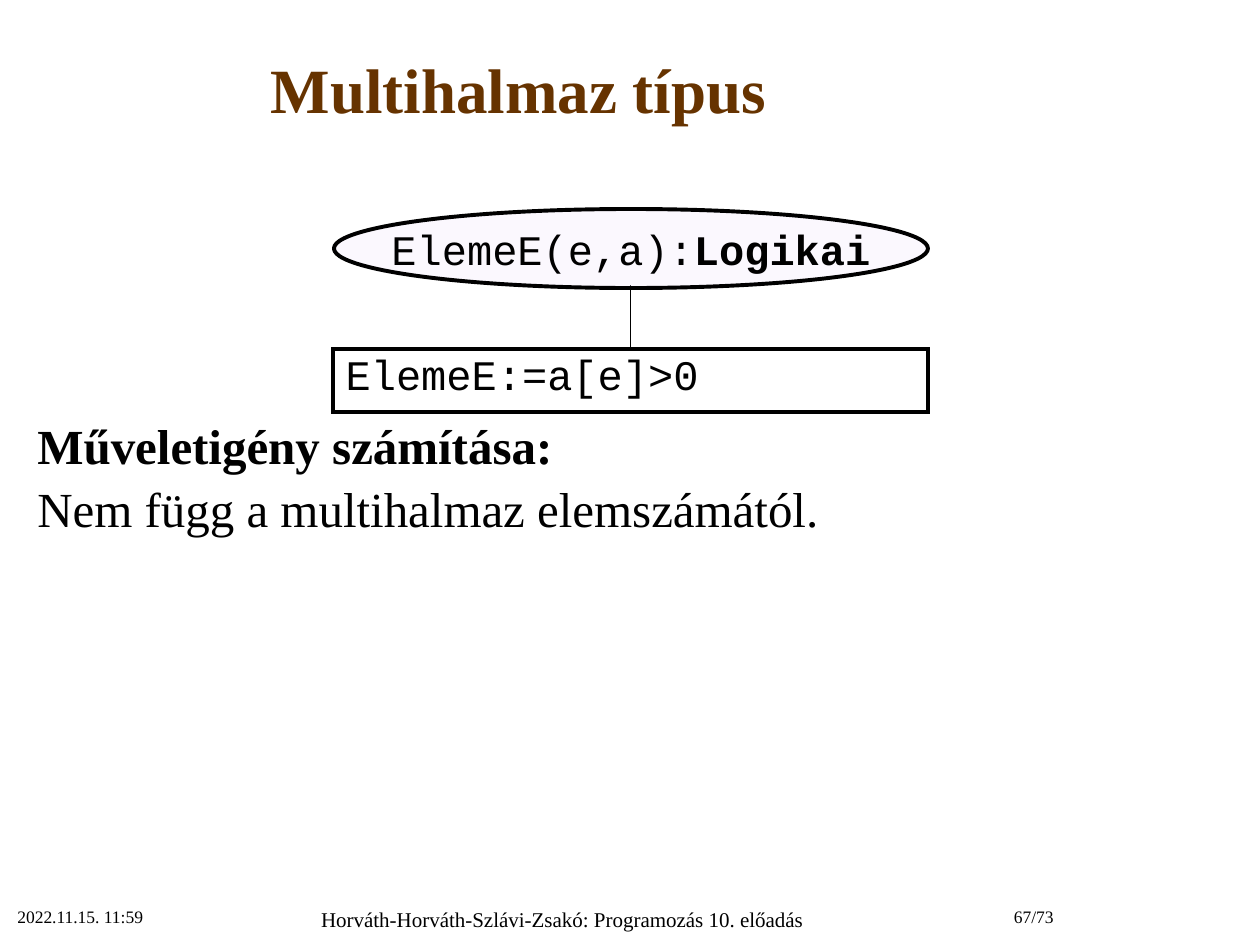
from dataclasses import dataclass
from lxml.etree import SubElement
from pptx import Presentation
from pptx.dml.color import RGBColor as RGB
from pptx.enum.shapes import MSO_SHAPE as SHAPE
from pptx.enum.text import MSO_ANCHOR as ANCHOR, PP_ALIGN as ALIGN
from pptx.oxml import parse_xml
from pptx.oxml.ns import nsdecls, qn
from pptx.util import Pt


@dataclass(frozen=True)
class Theme:
    serif: str = "Times New Roman"
    mono: str = "Courier New"
    black: str = "000000"
    brown: str = "663300"
    lilac: str = "F3E8FE"
    title: int = 36
    body: int = 28
    code: int = 24
    footer: int = 12
    small: int = 10
    thin: float = 1
    thick: float = 2.25


T = Theme()


def px(n):
    return round(n * 914400 / 126)


def box(*lengths):
    return [px(n) for n in lengths]


def add_run(p, text, size, font=T.serif, color=T.black, bold=False):
    r = p.add_run()
    r.text = text
    for name, value in {"size": Pt(size), "name": font, "bold": bold}.items():
        setattr(r.font, name, value)
    r.font.color.rgb = RGB.from_string(color)


def add_text(slide, at, text, size, align=ALIGN.LEFT, anchor=ANCHOR.TOP, **font):
    tf = slide.shapes.add_textbox(*box(*at)).text_frame
    tf.word_wrap = True
    tf.vertical_anchor = anchor
    p = tf.paragraphs[0]
    p.alignment = align
    add_run(p, text, size, **font)
    return tf


def add_header(slide, at):
    s = slide.shapes.add_shape(SHAPE.OVAL, *box(*at))
    s.shadow.inherit = False
    s.fill.solid()
    s.fill.fore_color.rgb = RGB.from_string(T.lilac)
    color = s.fill._xPr.find(qn("a:solidFill"))[0]
    SubElement(color, qn("a:alpha"), val="30000")
    s.line.color.rgb = RGB.from_string(T.black)
    s.line.width = Pt(T.thick)
    tf = s.text_frame
    tf.word_wrap = False
    tf.vertical_anchor = ANCHOR.MIDDLE
    p = tf.paragraphs[0]
    p.alignment = ALIGN.CENTER
    add_run(p, "ElemeE(e,a):", T.code, T.mono)
    add_run(p, "Logikai", T.code, T.mono, bold=True)


def set_borders(cell, **widths):
    cell.fill.background()
    tc_pr = cell._tc.get_or_add_tcPr()
    sides = [side for side in "LRTB" if side in widths]
    for i, side in enumerate(sides):
        tc_pr.insert(i, parse_xml(
            f'<a:ln{side} {nsdecls("a")} w="{Pt(widths[side])}"><a:solidFill>'
            f'<a:srgbClr val="{T.black}"/></a:solidFill></a:ln{side}>'))


def add_structogram(slide, at, code):
    table = slide.shapes.add_table(2, 2, *box(*at)).table
    table.first_row = table.horz_banding = False
    left, right = table.cell(0, 0), table.cell(0, 1)
    set_borders(left, R=T.thin, B=T.thick)
    set_borders(right, L=T.thin, B=T.thick)
    step = table.cell(1, 0)
    step.merge(table.cell(1, 1))
    for col in range(2):
        set_borders(table.cell(1, col), **dict.fromkeys("LRTB", T.thick))
    add_run(step.text_frame.paragraphs[0], code, T.code, T.mono)


def add_body(slide, at, heading, text):
    tf = add_text(slide, at, heading, T.body, bold=True)
    p = tf.add_paragraph()
    p.space_before = Pt(6)
    p.line_spacing = Pt(30)
    add_run(p, text, T.body)


def main():
    prs = Presentation()
    prs.slide_width, prs.slide_height = box(1260, 945)
    slide = prs.slides.add_slide(prs.slide_layouts[6])
    add_text(slide, (0, 11, 1037, 154), "Multihalmaz típus", T.title,
             ALIGN.CENTER, ANCHOR.MIDDLE, color=T.brown, bold=True)
    add_body(slide, (25, 409, 1235, 138), "Műveletigény számítása:",
             "Nem függ a multihalmaz elemszámától.")
    add_structogram(slide, (333, 286, 595, 126), "ElemeE:=a[e]>0")
    add_header(slide, (334, 209, 594, 79))
    for left, width, text, size, align in (
        (5, 262, "2022.11.15. 11:59", T.small, ALIGN.LEFT),
        (267, 591, "Horváth-Horváth-Szlávi-Zsakó: Programozás 10. előadás",
         T.footer, ALIGN.CENTER),
        (906, 160, "67/73", T.small, ALIGN.RIGHT),
    ):
        add_text(slide, (left, 900, width, 45), text, size, align)
    prs.save("out.pptx")


if __name__ == "__main__":
    main()
